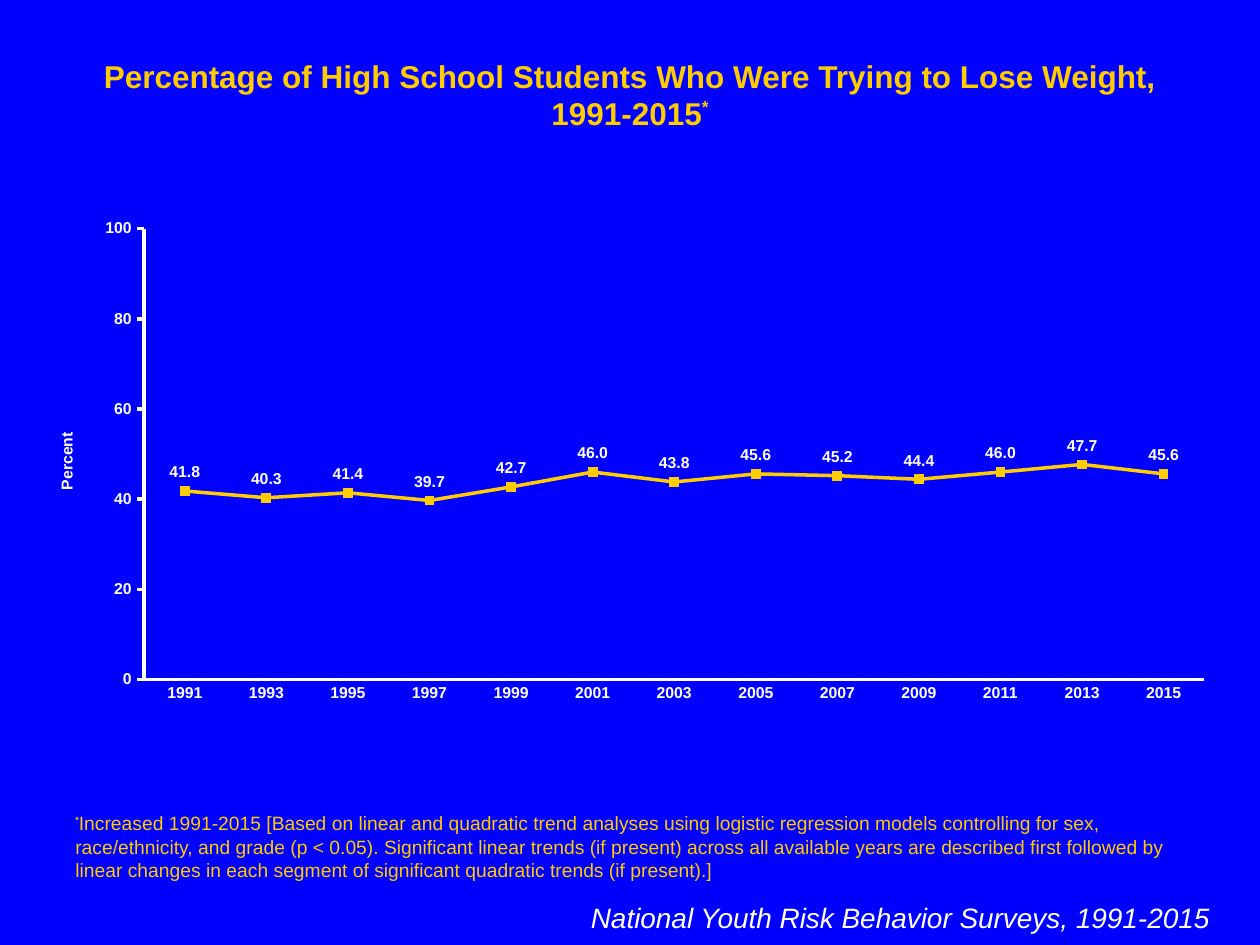
from lxml.etree import SubElement
from pptx import Presentation
from pptx.chart.data import CategoryChartData
from pptx.dml.color import RGBColor
from pptx.enum.chart import XL_CHART_TYPE, XL_LABEL_POSITION, XL_MARKER_STYLE, XL_TICK_MARK
from pptx.enum.text import MSO_ANCHOR, PP_ALIGN
from pptx.oxml.ns import qn
from pptx.util import Pt

COLORS = {"back": "0000FF", "gold": "FFCC00", "white": "FFFFFF"}
RATES = [41.8, 40.3, 41.4, 39.7, 42.7, 46.0, 43.8, 45.6, 45.2, 44.4, 46.0, 47.7, 45.6]
YEARS = [str(1991 + 2 * n) for n in range(len(RATES))]
FRAME = {"x": 0.094, "y": 0.037, "w": 0.886, "h": 0.895}


class Deck:
    """Hold the style and the current slide, and draw each kind of element."""

    def __init__(self, slide, face="Arial"):
        self.slide = slide
        self.face = face
        fill = slide.background.fill
        fill.solid()
        fill.fore_color.rgb = self.color("back")

    def color(self, name):
        return RGBColor.from_string(COLORS[name])

    def style(self, font, size, color="white", bold=False, italic=False):
        font.name = self.face
        font.size = Pt(size)
        font.bold = bold
        font.italic = italic
        font.color.rgb = self.color(color)

    def text(self, box, parts, size, color, align=PP_ALIGN.LEFT,
             anchor=MSO_ANCHOR.TOP, bold=False, italic=False):
        frame = self.slide.shapes.add_textbox(*map(Pt, box)).text_frame
        frame.word_wrap = True
        frame.vertical_anchor = anchor
        para = frame.paragraphs[0]
        para.alignment = align
        self.style(para.font, size, color, bold, italic)
        for words, small, lift in parts:
            run = para.add_run()
            run.text = words
            if lift:
                run.font.size = Pt(small)
                run.font.bold = True
                run.font._element.set("baseline", str(lift * 1000))

    def line(self, part, color):
        part.format.line.color.rgb = self.color(color)
        part.format.line.width = Pt(2)

    def axis(self, axis, tick):
        axis.has_major_gridlines = False
        axis.major_tick_mark = tick
        axis.minor_tick_mark = XL_TICK_MARK.NONE
        self.style(axis.tick_labels.font, 9, bold=True)
        self.line(axis, "white")

    def layout(self, chart):
        area = chart._chartSpace.chart.plotArea
        node = area.find(qn("c:layout"))
        if node is None:
            node = SubElement(area, qn("c:layout"))
            area.insert(0, node)
        manual = SubElement(node, qn("c:manualLayout"))
        rules = {"layoutTarget": "inner", "xMode": "edge", "yMode": "edge", **FRAME}
        for key, value in rules.items():
            SubElement(manual, qn("c:" + key)).set("val", str(value))

    def chart(self, box, years, rates):
        data = CategoryChartData()
        data.categories = years
        data.add_series("Series 1", rates)
        chart = self.slide.shapes.add_chart(
            XL_CHART_TYPE.LINE_MARKERS, *map(Pt, box), data).chart
        chart.has_legend = False
        chart.has_title = False
        self.style(chart.font, 18)
        self.layout(chart)

        self.axis(chart.category_axis, XL_TICK_MARK.NONE)
        scale = chart.value_axis
        self.axis(scale, XL_TICK_MARK.OUTSIDE)
        scale.minimum_scale, scale.maximum_scale, scale.major_unit = 0, 100, 20
        scale.tick_labels.number_format = "#,##0"
        scale.tick_labels.number_format_is_linked = False
        title = scale.axis_title.text_frame
        title.text = "Percent"
        self.style(title.paragraphs[0].font, 9, bold=True)

        plot = chart.plots[0]
        plot.vary_by_categories = False
        trend = plot.series[0]
        trend.smooth = False
        self.line(trend, "gold")
        mark = trend.marker
        mark.style = XL_MARKER_STYLE.SQUARE
        mark.size = 5
        mark.format.fill.solid()
        mark.format.fill.fore_color.rgb = self.color("gold")
        mark.format.line.color.rgb = self.color("gold")
        tags = trend.data_labels
        tags.show_value = True
        tags.position = XL_LABEL_POSITION.ABOVE
        tags.number_format = "#,##0.0"
        tags.number_format_is_linked = False
        self.style(tags.font, 9, bold=True)


def main():
    show = Presentation()
    show.slide_width, show.slide_height = Pt(720), Pt(540)
    deck = Deck(show.slides.add_slide(show.slide_layouts[6]))
    deck.text((36, 28.8, 648, 49), [
        ("Percentage of High School Students Who Were Trying to Lose Weight, 1991-2015", 18, 0),
        ("*", 17, 40),
    ], 18, "gold", PP_ALIGN.CENTER, bold=True)
    deck.text((36, 460, 648, 47), [
        ("*", 9, 50),
        ("Increased 1991-2015 [Based on linear and quadratic trend analyses using logistic "
         "regression models controlling for sex, race/ethnicity, and grade (p < 0.05). "
         "Significant linear trends (if present) across all available years are described "
         "first followed by linear changes in each segment of significant quadratic trends "
         "(if present).]", 11, 0),
    ], 11, "gold", anchor=MSO_ANCHOR.BOTTOM)
    deck.text((326, 511.2, 372.4, 26.6), [
        ("National Youth Risk Behavior Surveys, 1991-2015", 16, 0),
    ], 16, "white", PP_ALIGN.RIGHT, italic=True)
    deck.chart((18, 120, 684, 288), YEARS, RATES)
    show.save("out.pptx")


if __name__ == "__main__":
    main()
